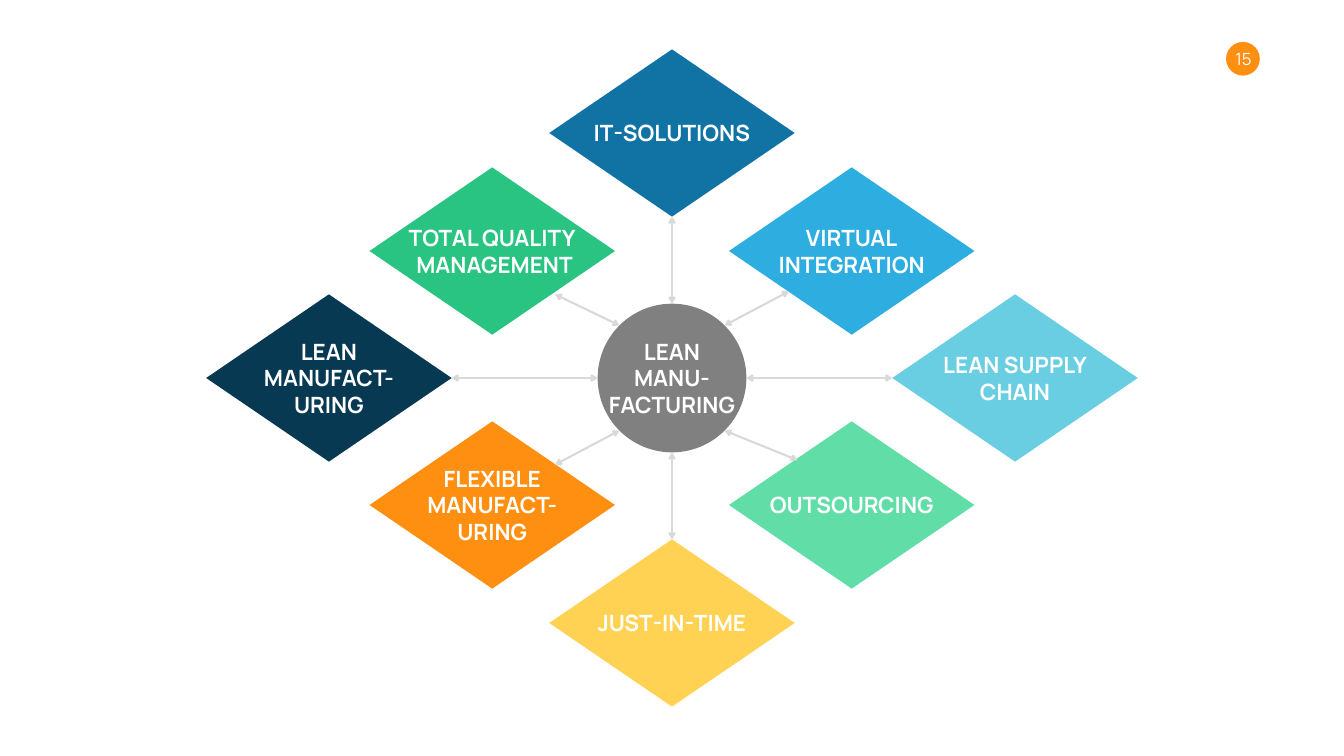
from math import hypot

from lxml.etree import SubElement
from pptx import Presentation
from pptx.dml.color import RGBColor
from pptx.enum.shapes import MSO_CONNECTOR as Connector, MSO_SHAPE as Shape
from pptx.enum.text import MSO_ANCHOR as Anchor, MSO_AUTO_SIZE as AutoSize, PP_ALIGN as Align
from pptx.oxml.ns import qn
from pptx.util import Pt

PAGE_WIDTH, PAGE_HEIGHT = 1919.52, 1080
CENTER_X, CENTER_Y = PAGE_WIDTH / 2, PAGE_HEIGHT / 2
HUB_RADIUS = 106.2
DIAMOND = (350.6, 239)

# label lines, label width, colour, diamond offset and arrow tip, both from the hub centre
TOPICS = [
    (["LEAN", "MANUFACT-", "URING"], 219, "083952", (-490, 0), (-314.7, 0)),
    (["LEAN SUPPLY", "CHAIN"], 222.5, "6ACEE3", (490, 0), (314.7, 0)),
    (["IT-SOLUTIONS"], 243.4, "1073A3", (0, -350), (0, -230.5)),
    (["JUST-IN-TIME"], 242, "FFD253", (0, 350), (0, 230.5)),
    (["OUTSOURCING"], 254.2, "61DDA8", (256.7, 181.4), (179.3, 117.4)),
    (["VIRTUAL", "INTEGRATION"], 232.6, "2DADE0", (256.7, -181.4), (167, -123.8)),
    (["FLEXIBLE", "MANUFACT-", "URING"], 219, "FF8F10", (-256.7, 181.4), (-167, 123.8)),
    (["TOTAL QUALITY", " MANAGEMENT"], 262, "2AC482", (-256.7, -181.4), (-167, -119.5)),
]


def color(value):
    return RGBColor.from_string(value)


def write(frame, lines, *, font, size, ink, bold=False):
    """Fill a text frame with one centred paragraph per line."""
    for index, line in enumerate(lines):
        para = frame.paragraphs[0] if index == 0 else frame.add_paragraph()
        para.alignment = Align.CENTER
        span = para.add_run()
        span.text = line
        span.font.name = font
        span.font.size = Pt(size)
        span.font.bold = bold
        span.font.color.rgb = color(ink)


class Diagram:
    """Style and current slide; every element is placed by its centre."""
    font = "Manrope"
    ink = "FFFFFF"
    line_color = "D9D9D9"
    line_width = 3
    line_pitch = 1.21

    def __init__(self, page):
        self.page = page

    def shape(self, kind, x, y, width, height, fill):
        shape = self.page.shapes.add_shape(
            kind, Pt(x - width / 2), Pt(y - height / 2), Pt(width), Pt(height))
        shape.shadow.inherit = False
        shape.fill.solid()
        shape.fill.fore_color.rgb = color(fill)
        shape.line.fill.background()

    def label(self, lines, x, y, width, size=32, bold=True):
        height = 7.2 + len(lines) * size * self.line_pitch
        box = self.page.shapes.add_textbox(
            Pt(x - width / 2), Pt(y - height / 2), Pt(width), Pt(height))
        frame = box.text_frame
        frame.word_wrap = False
        frame.auto_size = AutoSize.SHAPE_TO_FIT_TEXT
        frame.vertical_anchor = Anchor.MIDDLE
        write(frame, lines, font=self.font, size=size, ink=self.ink, bold=bold)

    def arrow(self, start, end):
        """Draw a line with an arrowhead at both ends."""
        line = self.page.shapes.add_connector(
            Connector.STRAIGHT, *(Pt(value) for value in (*start, *end)))
        line.line.color.rgb = color(self.line_color)
        line.line.width = Pt(self.line_width)
        outline = line.line._get_or_add_ln()
        for tag in ("a:headEnd", "a:tailEnd"):
            SubElement(outline, qn(tag), type="arrow")
        SubElement(line._element.spPr, qn("a:effectLst"))


def main():
    deck = Presentation()
    deck.slide_width, deck.slide_height = Pt(PAGE_WIDTH), Pt(PAGE_HEIGHT)
    diagram = Diagram(deck.slides.add_slide(deck.slide_layouts[6]))

    diagram.shape(Shape.OVAL, 1775.2, 84, 48.2, 48.2, "FF8F10")
    diagram.label(["15"], 1775.9, 84.2, 49.7, size=24, bold=False)

    diagram.shape(Shape.OVAL, CENTER_X, CENTER_Y, 2 * HUB_RADIUS, 2 * HUB_RADIUS, "808080")
    diagram.label(["LEAN", "MANU-", "FACTURING"], CENTER_X, CENTER_Y, 202.3)

    for lines, width, fill, (dx, dy), _ in TOPICS:
        diagram.shape(Shape.DIAMOND, CENTER_X + dx, CENTER_Y + dy, *DIAMOND, fill)
        diagram.label(lines, CENTER_X + dx, CENTER_Y + dy, width)

    for *_, (dx, dy), (tip_x, tip_y) in TOPICS:
        # Arrows leave the hub only at multiples of 45 degrees.
        side_x, side_y = (dx > 0) - (dx < 0), (dy > 0) - (dy < 0)
        reach = HUB_RADIUS / hypot(side_x, side_y)
        diagram.arrow((CENTER_X + side_x * reach, CENTER_Y + side_y * reach),
                      (CENTER_X + tip_x, CENTER_Y + tip_y))

    deck.save("out.pptx")


if __name__ == "__main__":
    main()
